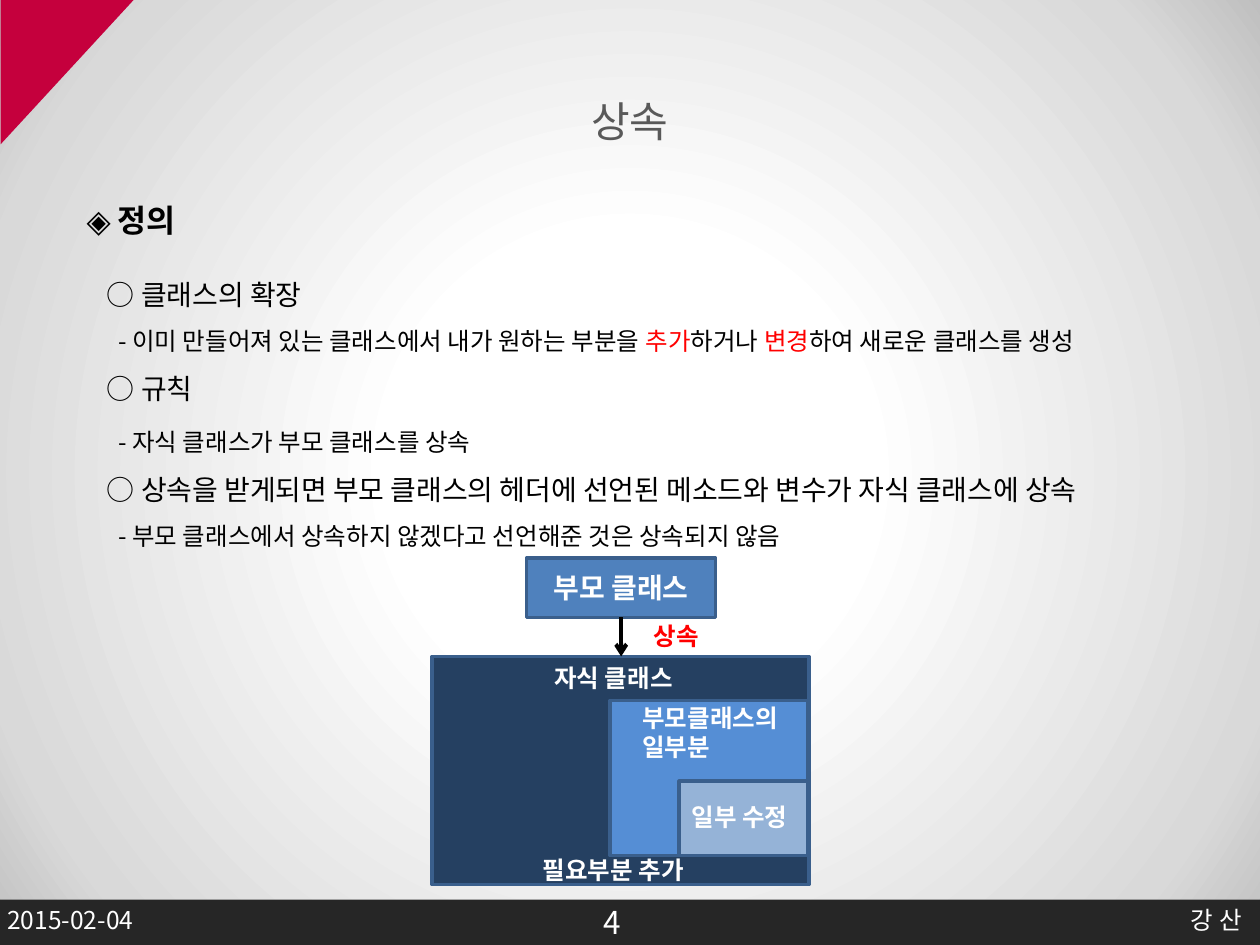
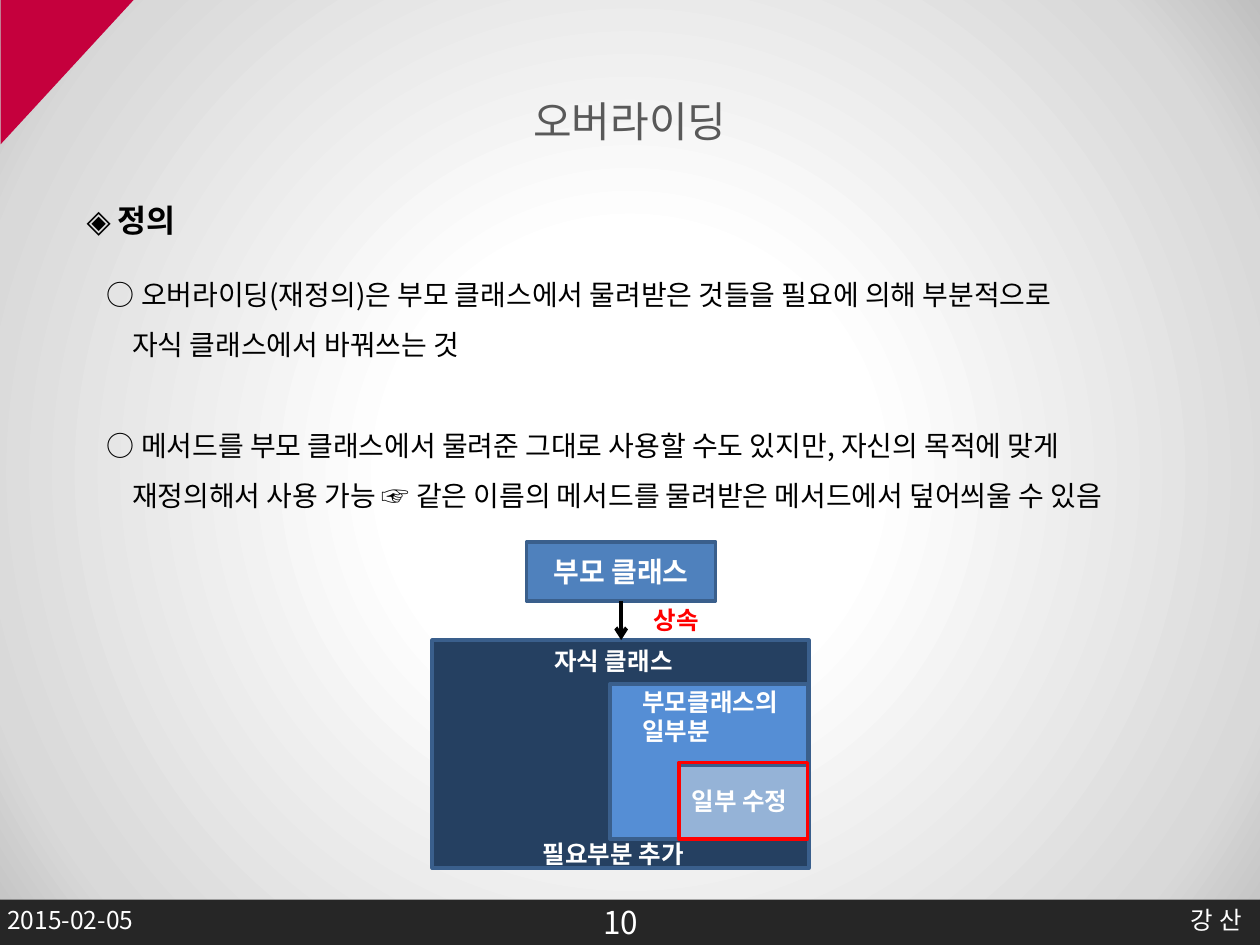
from lxml import etree
from pptx import Presentation
from pptx.dml.color import RGBColor
from pptx.enum import shapes, text
from pptx.oxml.ns import qn
from pptx.util import Inches, Pt

FONT = "Noto Sans CJK KR"
NAME_FONT = "Arial"

BLACK = RGBColor(0x00, 0x00, 0x00)
WHITE = RGBColor(0xFF, 0xFF, 0xFF)
RED = RGBColor(0xFF, 0x00, 0x00)
CRIMSON = RGBColor(0xC5, 0x00, 0x3D)
FOOTER_BAND = RGBColor(0x26, 0x26, 0x26)
TITLE_GRAY = RGBColor(0x59, 0x59, 0x59)
OUTLINE = RGBColor(0x3A, 0x5F, 0x8C)
PARENT_BLUE = RGBColor(0x4F, 0x81, 0xBD)
CHILD_BLUE = RGBColor(0x25, 0x40, 0x61)
INHERITED_BLUE = RGBColor(0x55, 0x8E, 0xD5)
MODIFIED_BLUE = RGBColor(0x95, 0xB3, 0xD7)
BACKGROUND_STOPS = [(30, "FFFFFF"), (85, "D9D9D9"), (100, "BFBFBF")]

# Body levels: (text size, left indent in inches)
ITEM = (16, 0)
CONTINUED = (16, 0.2)
DETAIL = (14, 0.09)


class Deck:
    """Holds the style and the slide being built."""

    def __init__(self):
        self.presentation = Presentation()
        self.presentation.slide_width = Inches(10)
        self.presentation.slide_height = Inches(7.5)
        self.slide = None
        self.target = None
        self.set_background()

    def set_background(self):
        master = self.presentation.slide_master
        master.background.fill.gradient()
        gradient = next(master.element.iter(qn("a:gradFill")))
        for child in list(gradient):
            gradient.remove(child)
        stops = etree.SubElement(gradient, qn("a:gsLst"))
        for position, color in BACKGROUND_STOPS:
            stop = etree.SubElement(stops, qn("a:gs"), pos=str(position * 1000))
            etree.SubElement(stop, qn("a:srgbClr"), val=color)
        circle = etree.SubElement(gradient, qn("a:path"))
        circle.set("path", "circle")
        etree.SubElement(circle, qn("a:fillToRect"),
                         l="50000", t="50000", r="50000", b="50000")

    def format_run(self, run, size, color, bold=False, font=FONT):
        run.font.size = Pt(size)
        run.font.bold = bold
        run.font.color.rgb = color
        run.font.name = font
        properties = run._r.get_or_add_rPr()
        etree.SubElement(properties, qn("a:ea"), typeface=font)

    def fill_text(self, frame, content, size, color, bold=False, font=FONT,
                  align=None, anchor=text.MSO_ANCHOR.TOP):
        frame.text = content
        frame.vertical_anchor = anchor
        for paragraph in frame.paragraphs:
            paragraph.alignment = align
            for run in paragraph.runs:
                self.format_run(run, size, color, bold, font)

    def text_box(self, left, top, width, height, wrap=True):
        box = self.target.add_textbox(Inches(left), Inches(top),
                                      Inches(width), Inches(height))
        box.text_frame.word_wrap = wrap
        return box.text_frame

    def label(self, left, top, width, height, content, color=WHITE):
        frame = self.text_box(left, top, width, height, wrap=False)
        frame.auto_size = text.MSO_AUTO_SIZE.SHAPE_TO_FIT_TEXT
        self.fill_text(frame, content, 14, color, bold=True)

    def shape(self, left, top, width, height, fill=None, line=None,
              kind=shapes.MSO_SHAPE.RECTANGLE):
        shape = self.target.add_shape(kind, Inches(left), Inches(top),
                                      Inches(width), Inches(height))
        shape.shadow.inherit = False
        if fill is None:
            shape.fill.background()
        else:
            shape.fill.solid()
            shape.fill.fore_color.rgb = fill
        if line is None:
            shape.line.fill.background()
        else:
            shape.line.color.rgb = line
            shape.line.width = Pt(2)
        return shape

    def arrow(self, x, top, bottom):
        arrow = self.target.add_connector(
            shapes.MSO_CONNECTOR.STRAIGHT,
            Inches(x), Inches(top), Inches(x), Inches(bottom))
        arrow.line.color.rgb = BLACK
        arrow.line.width = Pt(2.25)
        outline = arrow._element.spPr.find(qn("a:ln"))
        etree.SubElement(outline, qn("a:tailEnd"), type="arrow")
        etree.SubElement(arrow._element.spPr, qn("a:effectLst"))

    def add_slide(self, title, number, date):
        layout = self.presentation.slide_layouts[5]
        self.slide = self.presentation.slides.add_slide(layout)
        self.target = self.slide.shapes

        # Corner and footer
        corner = self.shape(-0.04, 0.04, 1.15, 1.06, CRIMSON,
                            kind=shapes.MSO_SHAPE.RIGHT_TRIANGLE)
        corner.rotation = 90
        self.shape(-0.03, 7.14, 10.04, 0.39, FOOTER_BAND)
        self.fill_text(self.text_box(4.69, 7.04, 0.98, 0.55), number, 18, WHITE,
                       anchor=text.MSO_ANCHOR.MIDDLE)
        self.fill_text(self.text_box(-0.04, 7.13, 2.33, 0.4), date, 14, WHITE)
        self.fill_text(self.text_box(6.79, 7.13, 3.17, 0.4), "강 산", 14, WHITE,
                       font=NAME_FONT, align=text.PP_ALIGN.RIGHT)

        # Title and heading
        holder = self.slide.shapes.title
        holder.left, holder.top = Inches(0.5), Inches(0.68)
        holder.width, holder.height = Inches(9), Inches(0.55)
        self.fill_text(holder.text_frame, title, 24, TITLE_GRAY,
                       align=text.PP_ALIGN.CENTER, anchor=text.MSO_ANCHOR.MIDDLE)
        self.fill_text(self.text_box(0.59, 1.55, 9.06, 0.4), "◈ 정의", 18, BLACK,
                       bold=True)

    def body(self, height, lines):
        """Each line is (level, space before, runs); odd runs are red."""
        frame = self.text_box(0.75, 2.02, 9.25, height)
        for index, ((size, indent), space, runs) in enumerate(lines):
            paragraph = frame.add_paragraph() if index else frame.paragraphs[0]
            properties = paragraph._p.get_or_add_pPr()
            properties.set("marL", str(Inches(indent)))
            properties.set("indent", "0")
            paragraph.line_spacing = 1.5
            if space:
                paragraph.space_before = Pt(space)
            for position, content in enumerate(runs):
                run = paragraph.add_run()
                run.text = content
                self.format_run(run, size, RED if position % 2 else BLACK)

    def inheritance_diagram(self, top):
        self.target = self.slide.shapes.add_group_shape().shapes

        # Parent class
        parent = self.shape(4.18, top, 1.5, 0.47, PARENT_BLUE, OUTLINE)
        self.fill_text(parent.text_frame, "부모 클래스", 16, WHITE, bold=True,
                       align=text.PP_ALIGN.CENTER, anchor=text.MSO_ANCHOR.MIDDLE)

        # Child class with its inherited and modified parts
        self.shape(3.43, top + 0.78, 2.99, 1.81, CHILD_BLUE, OUTLINE)
        self.label(4.3, top + 0.78, 1.25, 0.34, "자식 클래스")
        self.shape(4.84, top + 1.13, 1.57, 1.23, INHERITED_BLUE, OUTLINE)
        self.label(5, top + 1.1, 1.45, 0.57, "부모클래스의\n일부분")
        self.shape(5.39, top + 1.77, 1.02, 0.59, MODIFIED_BLUE, OUTLINE)
        self.label(5.39, top + 1.89, 1.06, 0.34, "일부 수정")
        self.label(4.21, top + 2.31, 1.45, 0.34, "필요부분 추가")

        # Inheritance arrow
        self.arrow(4.93, top + 0.47, top + 0.78)
        self.label(5.09, top + 0.45, 0.59, 0.34, "상속", RED)
        self.target = self.slide.shapes


def main():
    deck = Deck()

    # Inheritance
    deck.add_slide("상속", "4", "2015-02-04")
    deck.body(2.42, [
        (ITEM, 0, ["○ 클래스의 확장"]),
        (DETAIL, 0, ["- 이미 만들어져 있는 클래스에서 내가 원하는 부분을 ", "추가",
                     "하거나 ", "변경", "하여 새로운 클래스를 생성"]),
        (ITEM, 0, ["○ 규칙"]),
        (DETAIL, 3.6, ["- 자식 클래스가 부모 클래스를 상속"]),
        (ITEM, 0, ["○ 상속을 받게되면 부모 클래스의 헤더에 선언된 메소드와 변수가 "
                   "자식 클래스에 상속"]),
        (DETAIL, 0, ["- 부모 클래스에서 상속하지 않겠다고 선언해준 것은 상속되지 않음"]),
    ])
    deck.inheritance_diagram(4.43)

    # Overriding
    deck.add_slide("오버라이딩", "10", "2015-02-05")
    deck.body(2.12, [
        (ITEM, 0, ["○ 오버라이딩(재정의)은 부모 클래스에서 물려받은 것들을 필요에 의해 "
                   "부분적으로"]),
        (CONTINUED, 0, ["자식 클래스에서 바꿔쓰는 것"]),
        (ITEM, 28.6, ["○ 메서드를 부모 클래스에서 물려준 그대로 사용할 수도 있지만, "
                      "자신의 목적에 맞게"]),
        (CONTINUED, 0, ["재정의해서 사용 가능 ☞ 같은 이름의 메서드를 물려받은 메서드에서 "
                        "덮어씌울 수 있음"]),
    ])
    deck.inheritance_diagram(4.3)
    deck.shape(5.39, 6.05, 1.02, 0.61, line=RED)

    deck.presentation.save("out.pptx")


if __name__ == "__main__":
    main()
